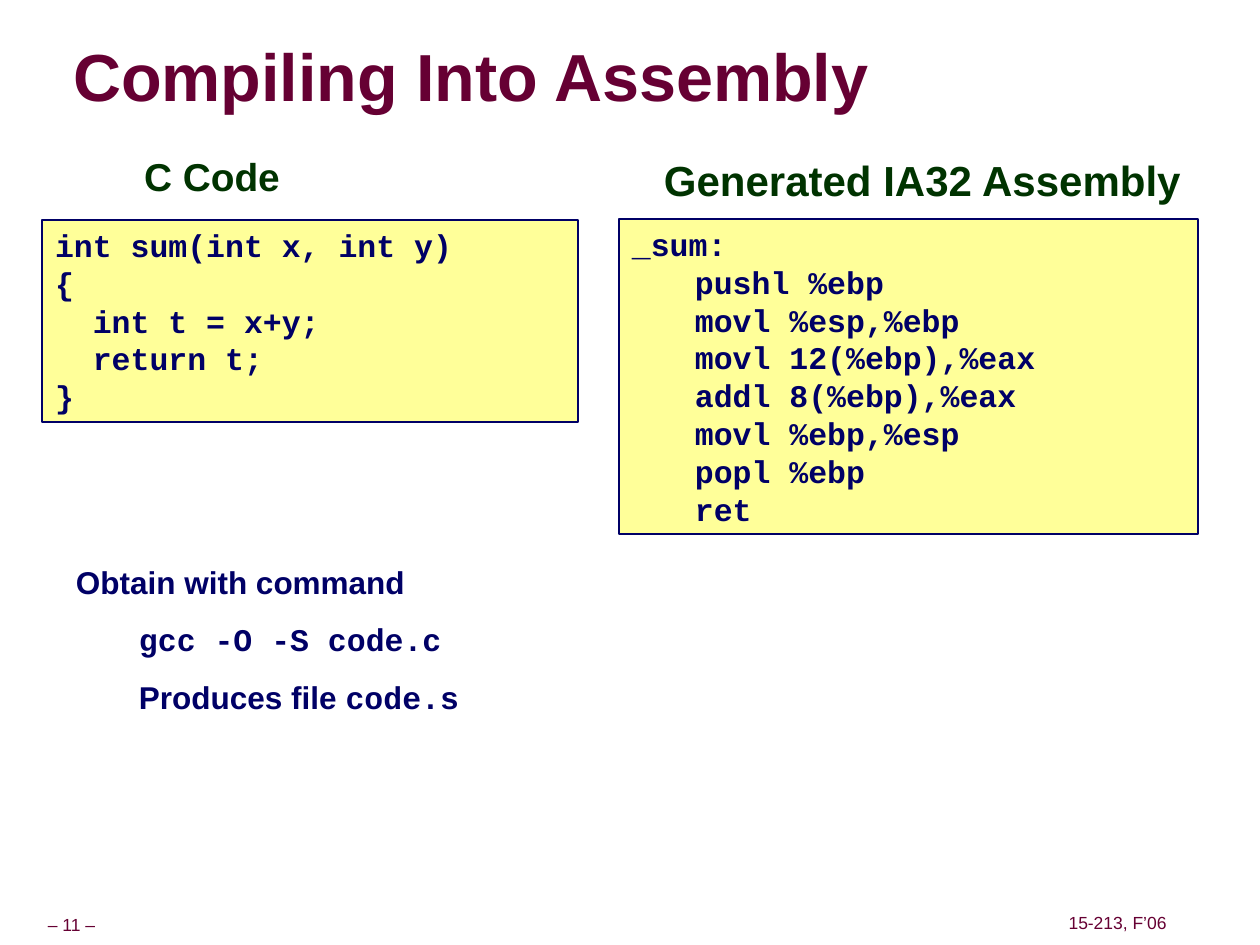
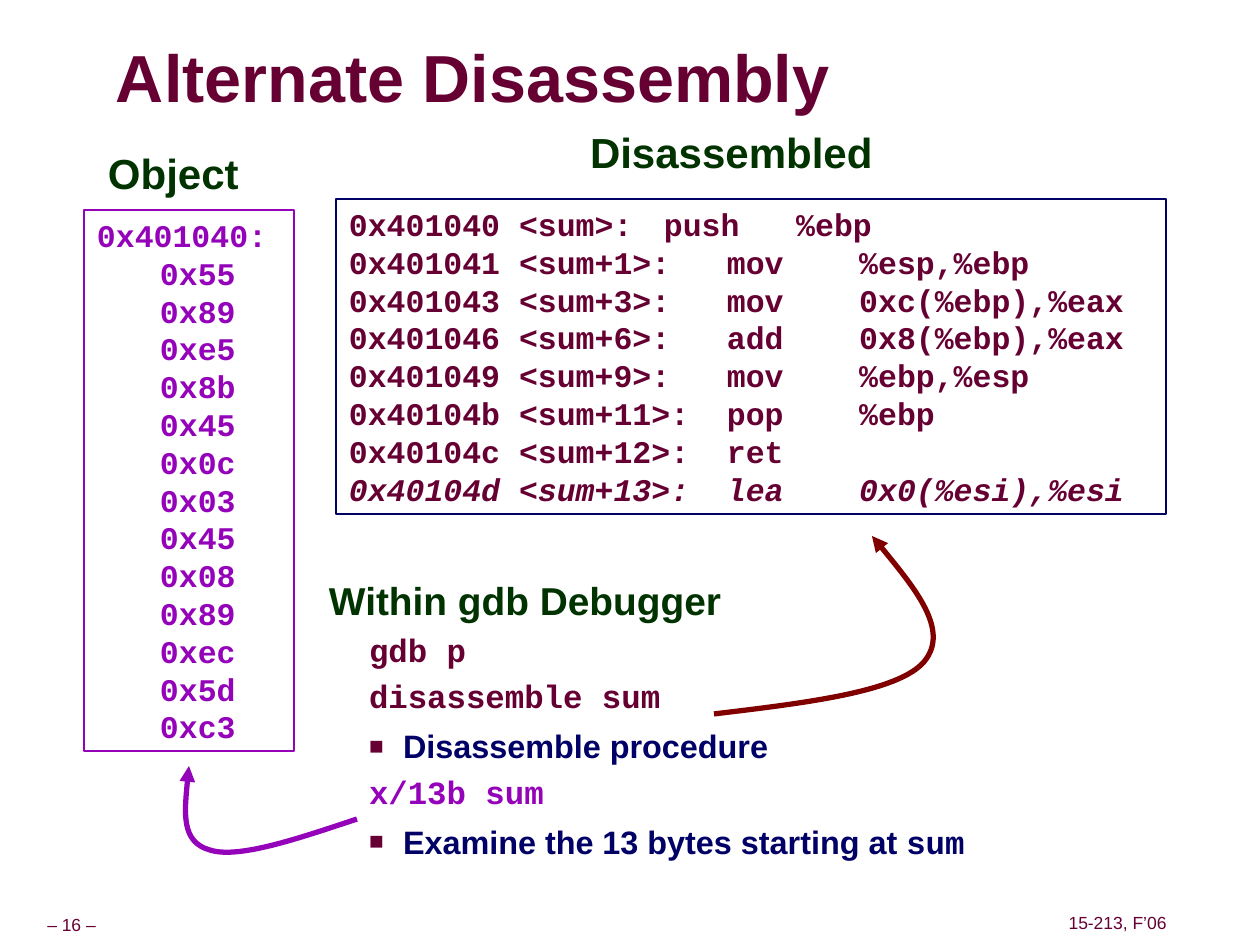
"""Build two slides on compiling C to IA32 assembly and disassembling it."""
from lxml.etree import SubElement
from pptx import Presentation
from pptx.dml.color import RGBColor
from pptx.enum.shapes import MSO_SHAPE as SHAPE
from pptx.enum.text import MSO_ANCHOR as ANCHOR, MSO_AUTO_SIZE as AUTO, PP_ALIGN as ALIGN
from pptx.oxml.ns import qn
from pptx.util import Emu, Pt

PX = 914400 / 126
SANS, MONO = "Arial", "Courier New"
COLORS = {"maroon": "660033", "green": "003300", "navy": "000066",
          "purple": "9403B9", "red": "800000", "yellow": "FFFF99", "shadow": "969696"}
CODE_TABS = (63, 378)

C_CODE = ["int sum(int x, int y)", "{", "  int t = x+y;", "  return t;", "}"]
ASSEMBLY = ["_sum:"] + ["\t" + op for op in (
    "pushl %ebp", "movl %esp,%ebp", "movl 12(%ebp),%eax", "addl 8(%ebp),%eax",
    "movl %ebp,%esp", "popl %ebp", "ret")]
OBJECT_BYTES = ["0x401040:"] + [
    "\t0x" + byte for byte in "55 89 e5 8b 45 0c 03 45 08 89 ec 5d c3".split()]
DISASSEMBLY = [
    "0x401040 <sum>:\tpush   %ebp",
    "0x401041 <sum+1>:\tmov    %esp,%ebp",
    "0x401043 <sum+3>:\tmov    0xc(%ebp),%eax",
    "0x401046 <sum+6>:\tadd    0x8(%ebp),%eax",
    "0x401049 <sum+9>:\tmov    %ebp,%esp",
    "0x40104b <sum+11>:\tpop    %ebp",
    "0x40104c <sum+12>:\tret",
    "0x40104d <sum+13>:\tlea    0x0(%esi),%esi"]


def px(n):
    return Emu(round(n * PX))


def rgb(name):
    return RGBColor.from_string(COLORS[name])


def place(sp, box):
    sp.left, sp.top, sp.width, sp.height = map(px, box)


def frame(sp, inset=(13, 6), anchor=ANCHOR.TOP, wrap=True):
    tf = sp.text_frame
    tf.word_wrap, tf.auto_size, tf.vertical_anchor = wrap, AUTO.NONE, anchor
    tf.margin_left = tf.margin_right = px(inset[0])
    tf.margin_top = tf.margin_bottom = px(inset[1])
    return tf


def add_run(p, text, font, size, color, bold=True, italic=False):
    r = p.add_run()
    r.text = text
    f = r.font
    f.name, f.size, f.bold, f.italic = font, Pt(size), bold, italic
    f.color.rgb = rgb(color)
    return r


def add_bullet(pPr):
    clr = SubElement(pPr, qn("a:buClr"))
    SubElement(clr, qn("a:srgbClr"), val=COLORS["maroon"])
    SubElement(pPr, qn("a:buSzPct"), val="75000")
    SubElement(pPr, qn("a:buFont"), typeface=SANS)
    SubElement(pPr, qn("a:buChar"), char="■")


def add_para(tf, before=0, spacing=1.0, left=0, hang=0, level=0,
             align=ALIGN.LEFT, bullet=False, tabs=()):
    p = tf.paragraphs[0]
    if p.runs:
        p = tf.add_paragraph()
    p.alignment, p.level = align, level
    p.space_before, p.space_after, p.line_spacing = Pt(before), Pt(0), spacing
    pPr = p._p.get_or_add_pPr()
    pPr.set("marL", str(px(left)))
    pPr.set("indent", str(px(-hang)))
    if bullet:
        add_bullet(pPr)
    else:
        SubElement(pPr, qn("a:buNone"))
    if tabs:
        tab_list = SubElement(pPr, qn("a:tabLst"))
        for pos in tabs:
            SubElement(tab_list, qn("a:tab"), pos=str(px(pos)), algn="l")
    return p


def add_footer(s, text, box):
    sp = s.shapes.add_textbox(*map(px, box))
    tf = frame(sp, (6, 6), ANCHOR.MIDDLE, wrap=False)
    p = add_para(tf, spacing=0.9, align=ALIGN.CENTER)
    add_run(p, text, SANS, 10, "maroon", bold=False)


def add_title(s, text, box):
    sp = s.shapes.title
    place(sp, box)
    p = add_para(frame(sp, (0, 0), ANCHOR.MIDDLE), spacing=0.87)
    r = add_run(p, text, SANS, 38, "maroon")
    effects = SubElement(r.font._element, qn("a:effectLst"))
    r.font._element.find(qn("a:solidFill")).addnext(effects)
    shadow = SubElement(effects, qn("a:outerShdw"), dist="50800", dir="2700000")
    SubElement(shadow, qn("a:srgbClr"), val=COLORS["shadow"])


def add_slide(prs, number, title, title_box):
    s = prs.slides.add_slide(prs.slide_layouts[1])
    add_footer(s, f"– {number} –", (11, 910, 121, 31))
    add_footer(s, "15-213, F’06", (1062, 908, 111, 31))
    add_title(s, title, title_box)
    return s


def add_body(s, heading, box, spacing):
    sp = s.placeholders[1]
    place(sp, box)
    tf = frame(sp)
    p = add_para(tf, before=15, spacing=spacing, left=24, hang=24)
    add_run(p, heading, SANS, 22.2, "green")
    return tf


def add_heading(s, text, box):
    tf = frame(s.shapes.add_textbox(*map(px, box)))
    p = add_para(tf, before=9, spacing=0.9, left=30, hang=30)
    add_run(p, text, SANS, 24, "green")


def add_code_box(s, lines, box, color, line, fill=None, italic_line=None):
    sp = s.shapes.add_shape(SHAPE.RECTANGLE, *map(px, box))
    sp.shadow.inherit = False
    if fill:
        sp.fill.solid()
        sp.fill.fore_color.rgb = rgb(fill)
    else:
        sp.fill.background()
    sp.line.color.rgb, sp.line.width = rgb(line), Pt(1)
    tf = frame(sp)
    for text in lines:
        p = add_para(tf, tabs=CODE_TABS)
        add_run(p, text, MONO, 18, color, italic=text == italic_line)


def add_curved_arrow(s, points, color):
    fb = s.shapes.build_freeform(*points[0], scale=PX)
    fb.add_line_segments(points[1:], close=False)
    sp = fb.convert_to_shape()
    sp.shadow.inherit = False
    sp.fill.background()
    sp.line.color.rgb, sp.line.width = rgb(color), Pt(3)
    SubElement(sp.line._get_or_add_ln(), qn("a:tailEnd"), type="triangle")
    path = next(sp._element.iter(qn("a:path")))
    segments = path.findall(qn("a:lnTo"))
    for i in range(0, len(segments), 3):
        curve = SubElement(path, qn("a:cubicBezTo"))
        for seg in segments[i:i + 3]:
            curve.append(seg[0])
            path.remove(seg)


def build_compiling(prs):
    s = add_slide(prs, 11, "Compiling Into Assembly", (73, 42, 944, 77))
    add_body(s, "C Code", (131, 158, 223, 50), 0.75)
    add_code_box(s, C_CODE, (42, 220, 536, 202), "navy", "navy", "yellow")
    add_heading(s, "Generated IA32 Assembly", (651, 154, 567, 57))
    add_code_box(s, ASSEMBLY, (619, 219, 579, 315), "navy", "navy", "yellow")
    tf = frame(s.shapes.add_textbox(*map(px, (63, 557, 483, 165))))
    notes = [(0, [("Obtain with command", SANS)]),
             (1, [("gcc -O -S code.c", MONO)]),
             (1, [("Produces file ", SANS), ("code.s", MONO)])]
    for level, runs in notes:
        p = add_para(tf, before=11.2, left=63 * level, level=level)
        for text, font in runs:
            add_run(p, text, font, 18, "navy")


def build_disassembly(prs):
    s = add_slide(prs, 16, "Alternate Disassembly", (116, 42, 861, 79))
    add_heading(s, "Disassembled", (577, 126, 359, 57))
    add_code_box(s, DISASSEMBLY, (336, 199, 830, 315), "maroon", "navy",
                 italic_line=DISASSEMBLY[-1])
    tf = add_body(s, "Within gdb Debugger", (316, 578, 868, 310), 0.85)
    steps = [("maroon", False, [("gdb p", MONO)]),
             ("maroon", False, [("disassemble sum", MONO)]),
             ("navy", True, [("Disassemble procedure", SANS)]),
             ("purple", False, [("x/13b sum", MONO)]),
             ("navy", True, [("Examine the 13 bytes starting at ", SANS), ("sum", MONO)])]
    for color, bullet, runs in steps:
        p = add_para(tf, before=6.2, spacing=1.0 if bullet else 0.9,
                     left=74, hang=34, level=1, bullet=bullet)
        for text, font in runs:
            add_run(p, text, font, 18.5, color)
    add_heading(s, "Object", (95, 147, 180, 57))
    add_code_box(s, OBJECT_BYTES, (84, 210, 210, 541), "purple", "purple")
    add_curved_arrow(s, [(357, 819), (297, 839), (238, 859), (210, 850),
                         (181, 842), (185, 804), (189, 766)], "purple")
    add_curved_arrow(s, [(714, 714), (806, 703), (898, 692), (924, 662),
                         (950, 631), (911, 583), (872, 536)], "red")


def main():
    prs = Presentation()
    prs.slide_width, prs.slide_height = px(1260), px(945)
    build_compiling(prs)
    build_disassembly(prs)
    prs.save("out.pptx")


if __name__ == "__main__":
    main()
